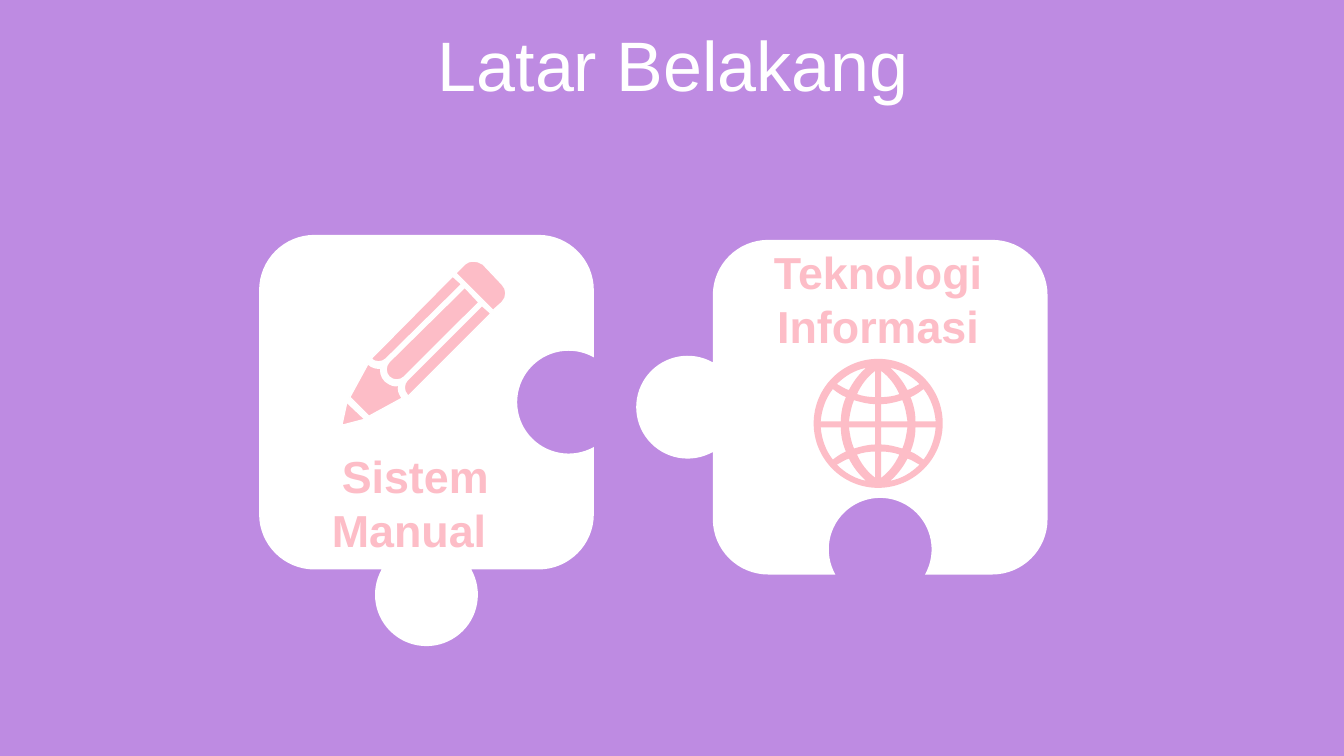
import math
from lxml import etree
from pptx import Presentation
from pptx import util as u
from pptx.dml.color import RGBColor
from pptx.enum import text
from pptx.oxml import ns

COLORS = {"purple": "BE8BE2", "white": "FFFFFF", "pink": "FDBDC7"}


def pairs(segment):
    return list(zip(segment[::2], segment[1::2]))


def arc(cx, cy, radius, start, end):
    count = math.ceil(abs(end - start) / 90)
    step = math.radians(end - start) / count
    pull = 4 / 3 * math.tan(step / 4)
    contour = []
    for i in range(count + 1):
        angle = math.radians(start) + i * step
        c, s = math.cos(angle), math.sin(angle)
        point = (cx + radius * c, cy + radius * s)
        dx, dy = -pull * radius * s, pull * radius * c
        contour.append((*leave, point[0] - dx, point[1] - dy, *point) if i else point)
        leave = (point[0] + dx, point[1] + dy)
    return contour


def place(contour, cx, cy, sx=1, sy=1):
    return [tuple(v for x, y in pairs(seg) for v in (cx + sx * x, cy + sy * y))
            for seg in contour]


def quarter_turn(contour):
    return [tuple(v for x, y in pairs(seg) for v in (-y, x)) for seg in contour]


class Deck:
    font = "Arial"

    def __init__(self, prs, background):
        self.s = prs.slides.add_slide(prs.slide_layouts[6])
        self.paint(self.s.background.fill, background)

    def paint(self, fill, color):
        fill.solid()
        fill.fore_color.rgb = RGBColor.from_string(COLORS[color])

    def outline(self, contours, color, line=None):
        builder = None
        for contour in contours:
            points = [(u.Inches(x), u.Inches(y)) for seg in contour for x, y in pairs(seg)]
            if builder is None:
                builder = self.s.shapes.build_freeform(*points[0], scale=1.0)
            else:
                builder.move_to(*points[0])
            builder.add_line_segments(points[1:], close=True)
        sp = builder.convert_to_shape()
        self.bend(sp, contours)
        sp.shadow.inherit = False
        self.paint(sp.fill, color)
        if line:
            self.paint(sp.line.fill, line)
            sp.line.width = u.Pt(1)
        else:
            sp.line.fill.background()

    def bend(self, sp, contours):
        steps = iter(list(sp.element.iter(ns.qn("a:lnTo"))))
        for contour in contours:
            for seg in contour[1:]:
                group = [next(steps) for _ in pairs(seg)]
                if len(group) == 3:
                    curve = etree.Element(ns.qn("a:cubicBezTo"))
                    group[0].addprevious(curve)
                    for step in group:
                        curve.append(step[0])
                        step.getparent().remove(step)

    def label(self, words, box, color, size, bold=False, anchor="TOP", **spacing):
        sp = self.s.shapes.add_textbox(*map(u.Inches, box))
        tf = sp.text_frame
        tf.word_wrap = True
        tf.vertical_anchor = text.MSO_ANCHOR[anchor]
        p = tf.paragraphs[0]
        for name, value in {"alignment": text.PP_ALIGN.CENTER, **spacing}.items():
            setattr(p, name, value)
        r = p.add_run()
        r.text = words
        for name, value in {"name": self.font, "size": u.Pt(size), "bold": bold}.items():
            setattr(r.font, name, value)
        self.paint(r.font.fill, color)


HALF, CORNER, KNOB = 1.66, 0.55, 0.51
INSET = HALF - CORNER
PUZZLE = (arc(INSET, -INSET, CORNER, -90, 0)
          + arc(1.41, 0, KNOB, -60.6, -299.4)
          + arc(INSET, INSET, CORNER, 0, 90)
          + arc(0, 1.91, KNOB, -29.4, 209.4)
          + arc(-INSET, INSET, CORNER, 90, 180)
          + arc(-INSET, -INSET, CORNER, 180, 270))

PENCIL = [
    [(3.44, 3.99), (3.62, 4.16), (3.39, 4.22)],
    [(3.65, 3.61), (3.69, 3.65, 3.75, 3.66, 3.78, 3.65),
     (3.77, 3.68, 3.78, 3.74, 3.82, 3.78), (3.87, 3.82, 3.92, 3.84, 3.96, 3.82),
     (3.94, 3.86, 3.96, 3.91, 3.99, 3.95), (3.66, 4.13), (3.47, 3.94)],
    [(4.78, 3.03), (4.87, 3.11), (4.05, 3.93), (4.04, 3.92),
     (4, 3.88, 4, 3.81, 4.04, 3.77)],
    [(4.61, 2.85), (4.75, 3), (4.01, 3.74), (3.97, 3.78, 3.9, 3.78, 3.86, 3.74),
     (3.82, 3.7, 3.82, 3.63, 3.86, 3.59)],
    [(4.49, 2.74), (4.58, 2.82), (3.83, 3.56), (3.79, 3.6, 3.72, 3.6, 3.68, 3.56)],
    [(4.7, 2.59), (4.73, 2.59, 4.76, 2.6, 4.79, 2.62), (4.98, 2.82),
     (5.03, 2.87, 5.03, 2.95, 4.98, 3), (4.89, 3.08), (4.52, 2.71), (4.61, 2.62),
     (4.63, 2.6, 4.66, 2.59, 4.7, 2.59)],
]

GLOBE_QUARTER = [
    [(0.03, -0.03), (0.29, -0.03), (0.28, -0.1, 0.27, -0.17, 0.24, -0.24),
     (0.17, -0.22, 0.1, -0.2, 0.03, -0.2)],
    [(0.45, -0.35), (0.41, -0.32, 0.37, -0.29, 0.32, -0.27),
     (0.35, -0.2, 0.37, -0.12, 0.37, -0.03), (0.57, -0.03),
     (0.56, -0.15, 0.52, -0.26, 0.45, -0.35)],
    [(0.03, -0.53), (0.03, -0.27), (0.09, -0.27, 0.16, -0.28, 0.21, -0.3),
     (0.17, -0.39, 0.11, -0.47, 0.03, -0.53)],
    [(0.12, -0.56), (0.19, -0.5, 0.25, -0.42, 0.29, -0.34),
     (0.33, -0.35, 0.37, -0.38, 0.41, -0.4), (0.33, -0.48, 0.23, -0.54, 0.12, -0.56)],
]
GLOBE = [arc(8.71, 4.2, 0.64, 0, 360)] + [
    place(window, 8.71, 4.21, sx, sy)
    for sx in (1, -1) for sy in (1, -1) for window in GLOBE_QUARTER]

prs = Presentation()
prs.slide_width, prs.slide_height = u.Inches(13.33), u.Inches(7.5)
deck = Deck(prs, "purple")
deck.label("Latar Belakang", (0.35, 0.31, 12.66, 0.79), "white", 50, anchor="MIDDLE",
           line_spacing=0.8, space_before=u.Pt(10))
deck.outline([place(PUZZLE, 4.23, 3.99)], "white")
deck.outline([place(quarter_turn(PUZZLE), 8.73, 4.04)], "white")
deck.label("Sistem Manual ", (2.57, 4.4, 3.1, 1.18), "pink", 32, bold=True)
deck.label("Teknologi Informasi", (7.17, 2.38, 3.08, 1.18), "pink", 32, bold=True)
deck.outline(PENCIL, "pink", line="white")
deck.outline(GLOBE, "pink")
prs.save("out.pptx")
